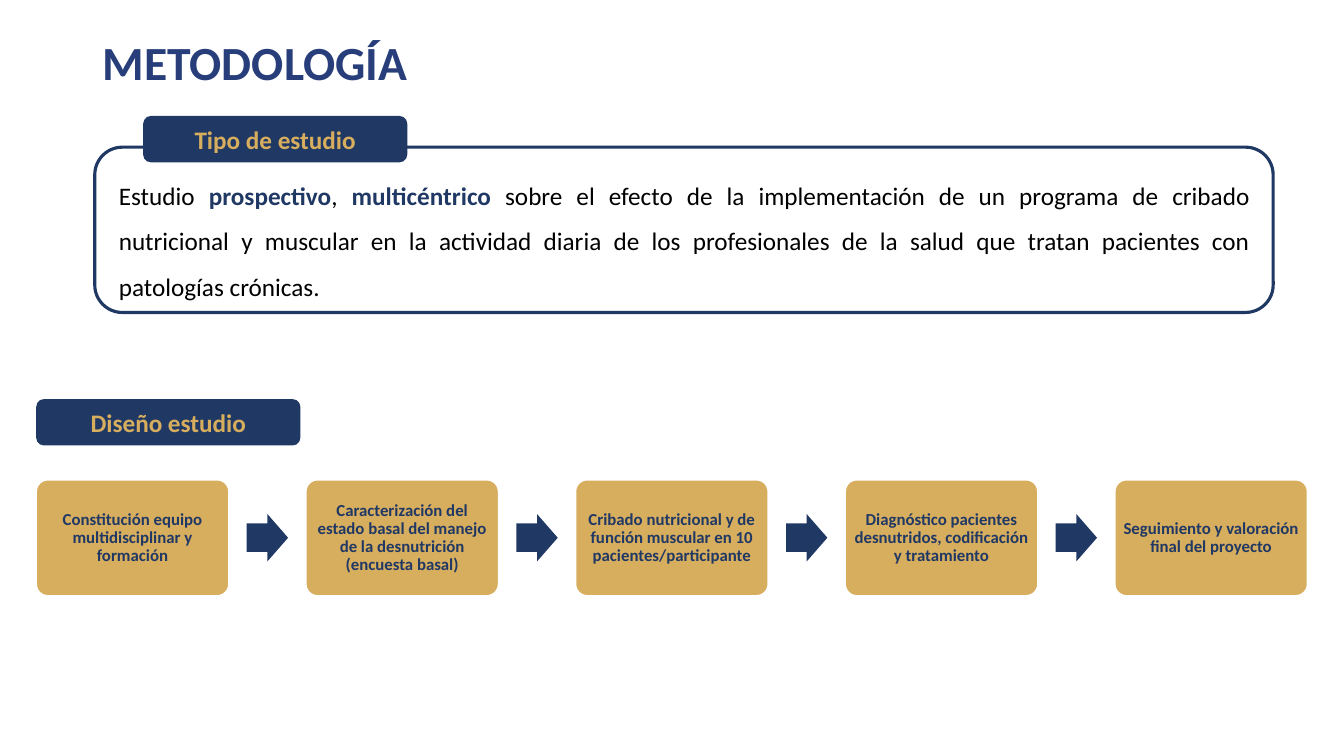
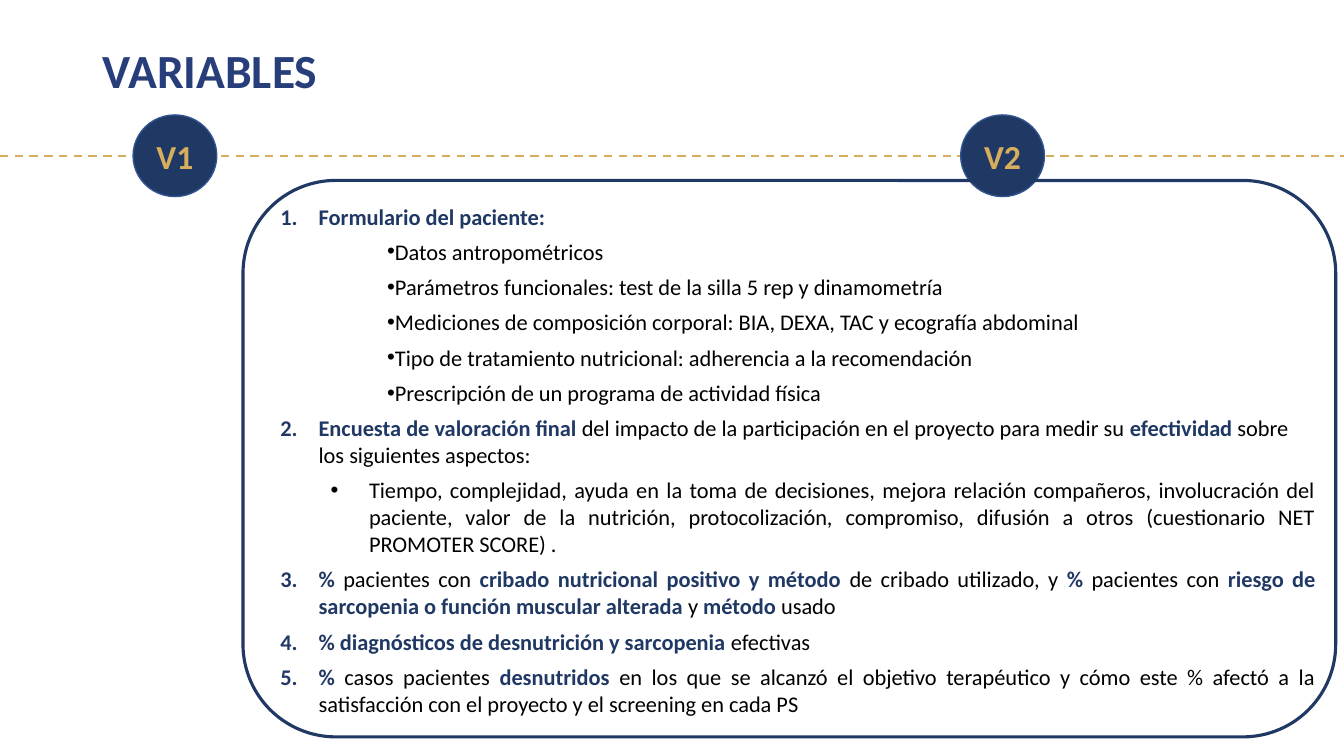
from dataclasses import dataclass

from lxml import etree
from pptx import Presentation
from pptx.dml.color import RGBColor
from pptx.enum.dml import MSO_LINE
from pptx.enum.shapes import MSO_CONNECTOR, MSO_SHAPE
from pptx.enum.text import MSO_ANCHOR, MSO_AUTO_SIZE, PP_ALIGN
from pptx.oxml.ns import qn
from pptx.util import Inches, Pt


@dataclass(frozen=True)
class Theme:
    font: str = "Calibri"
    title_color: str = "273E7A"
    navy: str = "203864"
    rim: str = "325491"
    gold: str = "D7AD5E"
    white: str = "FFFFFF"
    ink: str = "000000"
    title_size: int = 34
    marker_size: int = 24
    heading_size: int = 18
    list_size: int = 16
    card_size: int = 12


@dataclass(frozen=True)
class Box:
    """An area in inches; area() takes percentages of it."""
    left: float
    top: float
    width: float
    height: float

    def area(self, left, top, width, height):
        return Box(self.left + self.width * left / 100,
                   self.top + self.height * top / 100,
                   self.width * width / 100,
                   self.height * height / 100)

    def lengths(self):
        return [Inches(v) for v in (self.left, self.top, self.width, self.height)]


THEME = Theme()
PAGE = Box(0, 0, 13.33, 7.5)
TITLE_ONLY, TITLE_AND_BODY = 5, 1

STUDY_TEXT = (
    "Estudio *prospectivo*, *multicéntrico* sobre el efecto de la implementación "
    "de un programa de cribado nutricional y muscular en la actividad diaria de "
    "los profesionales de la salud que tratan pacientes con patologías crónicas."
)
DESIGN_STEPS = [
    "Constitución equipo multidisciplinar y formación",
    "Caracterización del estado basal del manejo de la desnutrición (encuesta basal)",
    "Cribado nutricional y de función muscular en 10 pacientes/participante",
    "Diagnóstico pacientes desnutridos, codificación y tratamiento",
    "Seguimiento y valoración final del proyecto",
]
# Indents: left margin and first-line offset, in inches
INDENTS = {"number": (0.38, -0.38), "data": (0.59, 0.47), "detail": (0.88, -0.38)}
LEFT, JUSTIFY = PP_ALIGN.LEFT, PP_ALIGN.JUSTIFY
VARIABLES = [
    ("number", LEFT, "*Formulario del paciente:*"),
    ("data", LEFT, "Datos antropométricos"),
    ("data", LEFT, "Parámetros funcionales: test de la silla 5 rep y dinamometría"),
    ("data", LEFT, "Mediciones de composición corporal: BIA, DEXA, TAC y ecografía abdominal"),
    ("data", LEFT, "Tipo de tratamiento nutricional: adherencia a la recomendación"),
    ("data", LEFT, "Prescripción de un programa de actividad física"),
    ("number", LEFT,
     "*Encuesta de valoración final *del impacto de la participación en el proyecto "
     "para medir su *efectividad* sobre los siguientes aspectos:"),
    ("detail", JUSTIFY,
     "Tiempo, complejidad, ayuda en la toma de decisiones, mejora relación compañeros, "
     "involucración del paciente, valor de la nutrición, protocolización, compromiso, "
     "difusión a otros (cuestionario NET PROMOTER SCORE) ."),
    ("number", JUSTIFY,
     "*%* pacientes con *cribado nutricional positivo y método *de cribado utilizado, "
     "y *%* pacientes con *riesgo de sarcopenia o función muscular alterada *y "
     "*método* usado"),
    ("number", JUSTIFY, "*% diagnósticos de desnutrición y sarcopenia *efectivas"),
    ("number", JUSTIFY,
     "*%* casos pacientes *desnutridos* en los que se alcanzó el objetivo terapéutico "
     "y cómo este % afectó a la satisfacción con el proyecto y el screening en cada PS"),
]


def rgb(color):
    return RGBColor.from_string(color)


def add_span(para, text, size, color, bold=True):
    span = para.add_run()
    span.text = text
    font = span.font
    font.name, font.size, font.bold = THEME.font, Pt(size), bold
    font.color.rgb = rgb(color)


def add_marked_spans(para, text, size):
    """Text between asterisks is set bold and navy."""
    for index, piece in enumerate(text.split("*")):
        strong = index % 2 == 1
        if piece:
            add_span(para, piece, size, THEME.navy if strong else THEME.ink, strong)


def add_block(page, kind, box, fill=None, line=None, line_width=1):
    block = page.shapes.add_shape(kind, *box.lengths())
    block.shadow.inherit = False
    if fill:
        block.fill.solid()
        block.fill.fore_color.rgb = rgb(fill)
    else:
        block.fill.background()
    if line:
        block.line.color.rgb = rgb(line)
        block.line.width = Pt(line_width)
    else:
        block.line.fill.background()
    return block


def center_text(block, text, size, color):
    frame = block.text_frame
    frame.word_wrap = True
    frame.vertical_anchor = MSO_ANCHOR.MIDDLE
    frame.margin_left = frame.margin_right = Inches(0.05)
    frame.margin_top = frame.margin_bottom = Inches(0.05)
    para = frame.paragraphs[0]
    para.alignment = PP_ALIGN.CENTER
    add_span(para, text, size, color)
    return para


def add_label(page, box, text):
    label = add_block(page, MSO_SHAPE.ROUNDED_RECTANGLE, box, THEME.navy)
    center_text(label, text, THEME.heading_size, THEME.gold)


def add_panel(page, box):
    add_block(page, MSO_SHAPE.ROUNDED_RECTANGLE, box, line=THEME.navy, line_width=2.25)


def place(holder, box):
    holder.left, holder.top, holder.width, holder.height = box.lengths()
    frame = holder.text_frame
    frame.word_wrap = True
    frame.auto_size = MSO_AUTO_SIZE.NONE
    return frame


def new_page(deck, layout, title, title_top):
    page = deck.slides.add_slide(deck.slide_layouts[layout])
    frame = place(page.shapes.title, PAGE.area(6.9, title_top, 86.25, 19.33))
    frame.vertical_anchor = MSO_ANCHOR.MIDDLE
    para = frame.paragraphs[0]
    para.alignment = PP_ALIGN.LEFT
    para.line_spacing = 0.9
    add_span(para, title, THEME.title_size, THEME.title_color)
    return page


def add_study_type(page, box):
    add_panel(page, box)
    add_label(page, box.area(4.11, -18.9, 22.41, 28.05), "Tipo de estudio")
    text_area = box.area(1.2, 7.93, 97.69, 86.59)
    frame = page.shapes.add_textbox(*text_area.lengths()).text_frame
    frame.word_wrap = True
    para = frame.paragraphs[0]
    para.alignment = PP_ALIGN.JUSTIFY
    para.line_spacing = 1.5
    add_marked_spans(para, STUDY_TEXT, THEME.heading_size)


def add_design_flow(page, box):
    add_label(page, box.area(0, 0, 20.78, 23.59), "Diseño estudio")
    card_top, card_width, card_height = 41.03, 15.15, 58.97
    arrow_width, arrow_height = 3.25, 24.1
    pitch = (100 - card_width) / (len(DESIGN_STEPS) - 1)
    arrow_shift = card_width + (pitch - card_width - arrow_width) / 2
    arrow_top = card_top + (card_height - arrow_height) / 2
    for index, step in enumerate(DESIGN_STEPS):
        left = index * pitch
        card = add_block(page, MSO_SHAPE.ROUNDED_RECTANGLE,
                         box.area(left, card_top, card_width, card_height),
                         THEME.gold, THEME.white)
        card.adjustments[0] = 0.1
        para = center_text(card, step, THEME.card_size, THEME.navy)
        para.line_spacing = 0.9
        if index < len(DESIGN_STEPS) - 1:
            arrow = add_block(page, MSO_SHAPE.RIGHT_ARROW,
                              box.area(left + arrow_shift, arrow_top,
                                       arrow_width, arrow_height), THEME.navy)
            arrow.adjustments[0] = 0.6


def add_timeline(page, box):
    middle = Inches(box.top + box.height / 2)
    line = page.shapes.add_connector(MSO_CONNECTOR.STRAIGHT, Inches(box.left), middle,
                                     Inches(box.left + box.width), middle)
    line.line.color.rgb = rgb(THEME.gold)
    line.line.width = Pt(1.5)
    line.line.dash_style = MSO_LINE.DASH
    etree.SubElement(line._element.spPr, qn("a:effectLst"))
    for name, left in (("V1", 9.9), ("V2", 71.48)):
        marker = add_block(page, MSO_SHAPE.FLOWCHART_CONNECTOR,
                           box.area(left, 0, 6.23, 100), THEME.navy, THEME.rim)
        center_text(marker, name, THEME.marker_size, THEME.gold)


def set_bullet(para, kind, number):
    margin, indent = INDENTS[kind]
    props = para._p.get_or_add_pPr()
    props.set("marL", str(Inches(margin)))
    props.set("indent", str(Inches(indent)))
    if kind == "number":
        etree.SubElement(props, qn("a:buFont"), typeface="+mj-lt")
        etree.SubElement(props, qn("a:buAutoNum"), type="arabicPeriod",
                         startAt=str(number))
    else:
        etree.SubElement(props, qn("a:buFont"), typeface="Arial")
        etree.SubElement(props, qn("a:buChar"), char="•")


def add_variable_list(page, box):
    frame = place(page.placeholders[1], box.area(2.49, 3.08, 96.59, 100))
    frame.vertical_anchor = MSO_ANCHOR.TOP
    number = 0
    for index, (kind, alignment, text) in enumerate(VARIABLES):
        para = frame.add_paragraph() if index else frame.paragraphs[0]
        number += kind == "number"
        set_bullet(para, kind, number)
        para.alignment = alignment
        para.space_before = Pt(6 if index else 0)
        add_marked_spans(para, text, THEME.list_size)
    add_panel(page, box)


def build_methodology(deck):
    page = new_page(deck, TITLE_ONLY, "METODOLOGÍA", -1.07)
    add_study_type(page, PAGE.area(7.05, 19.47, 87.68, 21.87))
    add_design_flow(page, PAGE.area(2.7, 52.8, 94.58, 26))


def build_variables(deck):
    page = new_page(deck, TITLE_AND_BODY, "VARIABLES", 0)
    add_timeline(page, PAGE.area(0, 15.2, 100, 10.8))
    add_variable_list(page, PAGE.area(18.08, 23.87, 81.3, 73.6))


def main():
    deck = Presentation()
    deck.slide_width, deck.slide_height = Inches(PAGE.width), Inches(PAGE.height)
    build_methodology(deck)
    build_variables(deck)
    deck.save("out.pptx")


if __name__ == "__main__":
    main()
